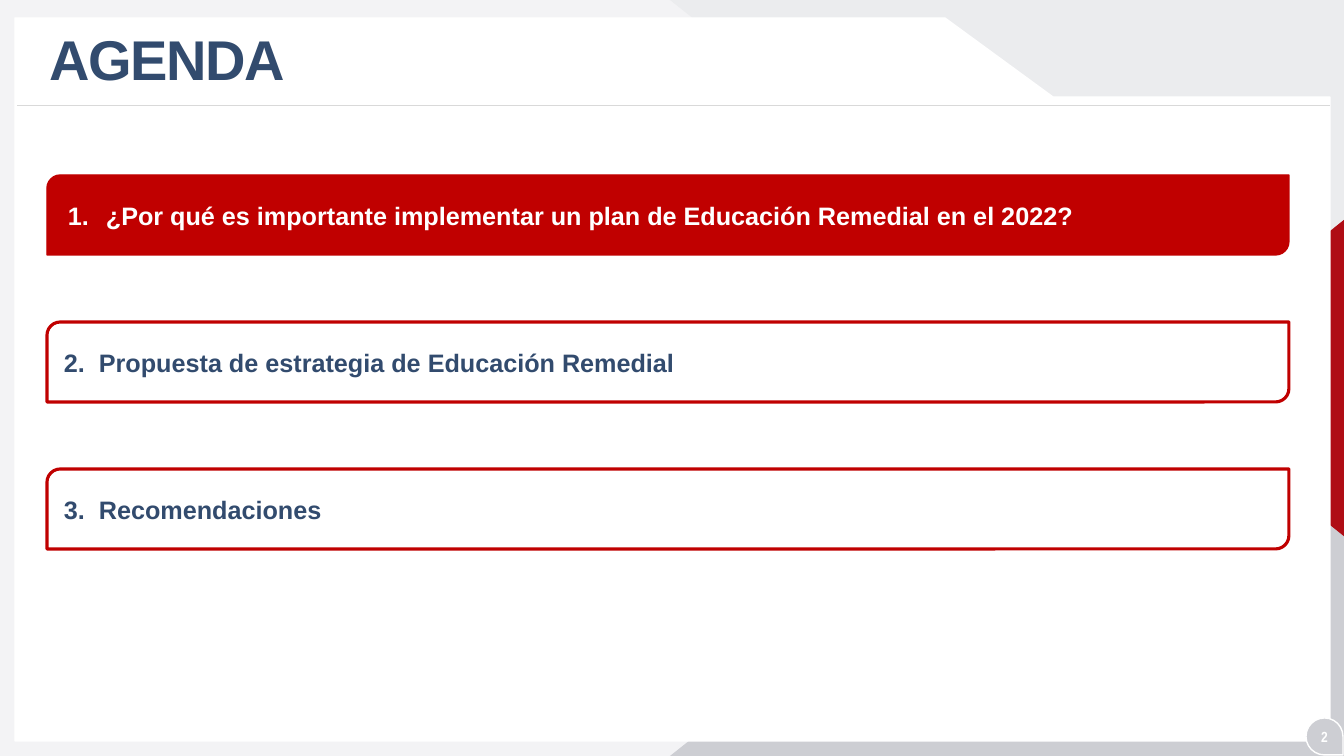
from lxml import etree
from pptx import Presentation
from pptx.dml.color import RGBColor
from pptx.enum.shapes import MSO_CONNECTOR, MSO_SHAPE
from pptx.enum.text import MSO_ANCHOR, MSO_AUTO_SIZE, PP_ALIGN
from pptx.oxml.ns import qn
from pptx.util import Pt

RECT, TRIANGLE = MSO_SHAPE.RECTANGLE, MSO_SHAPE.ISOSCELES_TRIANGLE
TEAR, CARD = MSO_SHAPE.TEAR, MSO_SHAPE.ROUND_2_DIAG_RECTANGLE
STRAIGHT = MSO_CONNECTOR.STRAIGHT
MIDDLE, NO_FIT = MSO_ANCHOR.MIDDLE, MSO_AUTO_SIZE.NONE
LEFT, CENTER = PP_ALIGN.LEFT, PP_ALIGN.CENTER

TITLE = "AGENDA"
PAGE = "2"
TOPICS = [
    "¿Por qué es importante implementar un plan de Educación Remedial en el 2022?",
    "Propuesta de estrategia de Educación Remedial",
    "Recomendaciones",
]
CURRENT = 1
NAVY, RED, WHITE, GREY = "324B6E", "C00000", "FFFFFF", "CDCED3"

# shape, (left, top, width, height), rotation, apex position, fill
BACKDROP = [
    (RECT, (0, 0, 1344, 756), 0, None, "F3F3F5"),
    (TRIANGLE, (670, 0, 674, 535), 180, 0, "EBECEE"),
    (TRIANGLE, (670, 221, 674, 535), 0, 1, GREY),
    (TRIANGLE, (1087, 279, 318, 198), 270, 0.5, "AF0D15"),
]
PANEL = [(15, 18), (945, 18), (1053, 97), (1330, 97), (1330, 741), (15, 741)]

CARD_LEFT, CARD_TOP, CARD_WIDTH, CARD_HEIGHT, CARD_PITCH = 47, 175, 1242, 80, 147
LABEL_HEIGHT = 40

SLIDE_WIDTH, SLIDE_HEIGHT = 12192000, 6858000
SCALE = SLIDE_WIDTH / 1344


def px(*lengths):
    return [round(length * SCALE) for length in lengths]


def color(value):
    return RGBColor.from_string(value)


def style(shape, fill=None, line=None, width=1):
    shape.shadow.inherit = False
    if fill:
        shape.fill.solid()
        shape.fill.fore_color.rgb = color(fill)
    else:
        shape.fill.background()
    if line:
        shape.line.color.rgb = color(line)
        shape.line.width = Pt(width)
    else:
        shape.line.fill.background()


def write(paragraph, text, size, ink, font="Arial", align=LEFT):
    paragraph.alignment = align
    run = paragraph.add_run()
    run.text = text
    run.font.name, run.font.size, run.font.bold = font, Pt(size), True
    run.font.color.rgb = color(ink)
    return run


def number(paragraph, start, indent):
    """Give the paragraph an automatic number with a hanging indent in px."""
    hang = px(indent)[0]
    properties = paragraph._p.get_or_add_pPr()
    properties.set("marL", str(hang))
    properties.set("indent", str(-hang))
    bullet = etree.SubElement(properties, qn("a:buAutoNum"), type="arabicPeriod")
    bullet.set("startAt", str(start))


def draw_backdrop(slide):
    for kind, box, rotation, apex, fill in BACKDROP:
        part = slide.shapes.add_shape(kind, *px(*box))
        part.rotation = rotation
        if apex is not None:
            part.adjustments[0] = apex
        style(part, fill)

    outline = slide.shapes.build_freeform(*PANEL[0], scale=SCALE)
    outline.add_line_segments(PANEL[1:], close=True)
    style(outline.convert_to_shape(), WHITE, WHITE)

    rule = slide.shapes.add_connector(STRAIGHT, *px(1330, 105, 17, 105))
    rule.line.color.rgb = color("D9D9D9")
    rule.line.width = Pt(0.5)
    etree.SubElement(rule._element.spPr, qn("a:effectLst"))

    badge = slide.shapes.add_shape(TEAR, *px(1306, 718, 37, 37))
    badge.rotation = 90
    style(badge, GREY, WHITE)


def draw_title(slide):
    title = slide.shapes.title
    slide.shapes._spTree.append(title._element)  # in front of the backdrop
    title.left, title.top, title.width, title.height = px(39, 22, 974, 80)
    frame = title.text_frame
    frame.auto_size, frame.vertical_anchor = NO_FIT, MIDDLE
    frame.paragraphs[0].line_spacing = 0.9
    run = write(frame.paragraphs[0], TITLE, 40, NAVY)
    run.font._element.set("spc", "-100")


def draw_page_number(slide):
    frame = slide.shapes.add_textbox(*px(1301, 723, 47, 28)).text_frame
    frame.word_wrap, frame.vertical_anchor = True, MIDDLE
    write(frame.paragraphs[0], PAGE, 10.5, WHITE, "Arial Narrow", CENTER)


def draw_topic(slide, position, topic):
    current = position == CURRENT
    top = CARD_TOP + (position - 1) * CARD_PITCH
    card = slide.shapes.add_shape(CARD, *px(CARD_LEFT, top, CARD_WIDTH, CARD_HEIGHT))
    style(card, RED if current else None, RED, 1 if current else 2.25)

    left, width, indent = (58, 1210, 38) if current else (54, 1183, 35)
    label_top = top + (CARD_HEIGHT - LABEL_HEIGHT) / 2
    label = slide.shapes.add_textbox(*px(left, label_top, width, LABEL_HEIGHT))
    label.text_frame.word_wrap = True
    paragraph = label.text_frame.paragraphs[0]
    number(paragraph, position, indent)
    write(paragraph, topic, 18, WHITE if current else NAVY)


def main():
    deck = Presentation()
    deck.slide_width, deck.slide_height = SLIDE_WIDTH, SLIDE_HEIGHT
    slide = deck.slides.add_slide(deck.slide_layouts[5])
    draw_backdrop(slide)
    draw_title(slide)
    draw_page_number(slide)
    for position, topic in enumerate(TOPICS, 1):
        draw_topic(slide, position, topic)
    deck.save("out.pptx")


if __name__ == "__main__":
    main()
